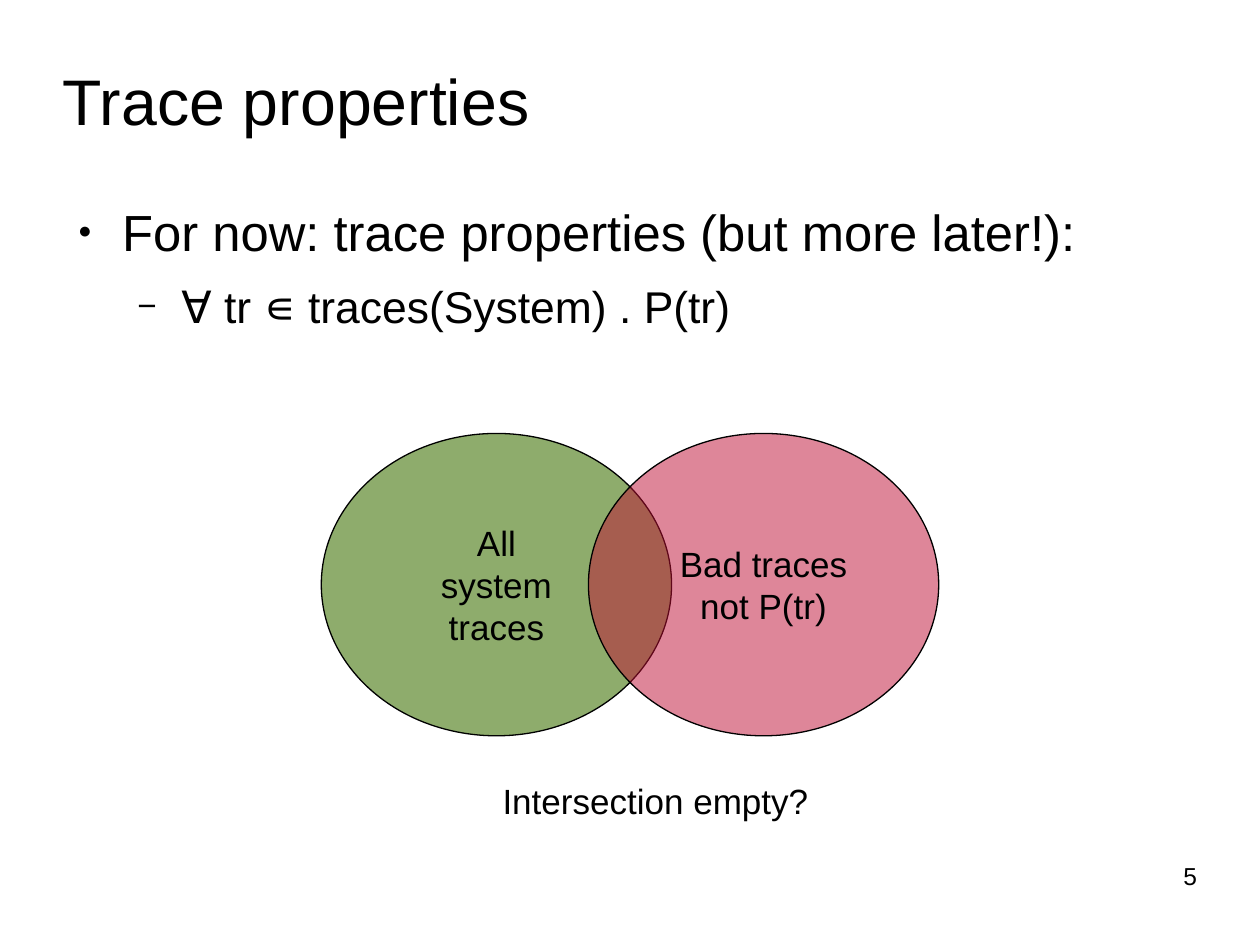
from dataclasses import dataclass

from lxml.etree import SubElement
from pptx import Presentation
from pptx.dml.color import RGBColor
from pptx.enum.shapes import MSO_SHAPE
from pptx.enum.text import MSO_ANCHOR, PP_ALIGN
from pptx.oxml.ns import qn
from pptx.util import Inches, Pt


@dataclass(frozen=True)
class Theme:
    ink: str = "000000"
    system: str = "69913B"
    bad: str = "BE0F34"
    font: str = "Arial"
    symbol_font: str = "DejaVu Sans"
    title: float = 36.8
    bullet: float = 29
    formula: float = 25.4
    label: float = 20
    number: float = 14


THEME = Theme()


def add_box(left, top, width, height, **frame_format):
    box = slide.shapes.add_textbox(*map(Inches, (left, top, width, height)))
    values = dict(word_wrap=True, margin_left=0, margin_right=0,
                  margin_top=0, margin_bottom=0)
    for name, value in {**values, **frame_format}.items():
        setattr(box.text_frame, name, value)
    return box.text_frame


def add_span(para, text, size, font=THEME.font):
    # A vertical tab in the text is a line break
    for index, line in enumerate(text.split("\v")):
        if index:
            para.add_line_break()
        span = para.add_run()
        span.text = line
        for name, value in dict(name=font, size=Pt(size)).items():
            setattr(span.font, name, value)
        span.font.color.rgb = RGBColor.from_string(THEME.ink)


deck = Presentation()
deck.slide_width, deck.slide_height = Inches(10), Inches(7.5)
slide = deck.slides.add_slide(deck.slide_layouts[6])

# Title
title = add_box(0.5, 0.3, 9, 0.93, vertical_anchor=MSO_ANCHOR.MIDDLE,
                margin_top=Inches(0.06))
add_span(title.paragraphs[0], "Trace properties", THEME.title)

# Bullets: indent, space before, mark, mark size in percent, size, spans
bullets = [
    (0.47, 0, "●", 45, THEME.bullet,
     [("For now: trace properties (but more later!):", THEME.font)]),
    (0.94, 10.3, "−", 75, THEME.formula,
     [("∀", THEME.symbol_font), (" tr ", THEME.font),
      ("∊", THEME.symbol_font), (" traces(System) . P(tr)", THEME.font)]),
]
body = add_box(0.5, 1.54, 9, 5.22, margin_top=Inches(0.05))
for level, (indent, before, mark, percent, size, spans) in enumerate(bullets):
    para = body.add_paragraph() if level else body.paragraphs[0]
    properties = para._p.get_or_add_pPr()
    properties.set("marL", str(Inches(indent)))
    properties.set("indent", str(Inches(-0.35)))
    color = SubElement(properties, qn("a:buClr"))
    SubElement(color, qn("a:srgbClr"), val=THEME.ink)
    SubElement(properties, qn("a:buSzPct"), val=str(percent * 1000))
    SubElement(properties, qn("a:buFont"), typeface=THEME.font)
    SubElement(properties, qn("a:buChar"), char=mark)
    para.level = level
    para.space_before = Pt(before)
    for text, font in spans:
        add_span(para, text, size, font)

# Venn diagram: left, fill, opacity in percent, paragraphs
sets = [
    (2.55, THEME.system, 75, ["All", "system", "traces"]),
    (4.67, THEME.bad, 50, ["Bad traces\vnot P(tr)"]),
]
for left, color, opacity, lines in sets:
    ellipse = slide.shapes.add_shape(
        MSO_SHAPE.OVAL, Inches(left), Inches(3.44), Inches(2.78), Inches(2.4))
    ellipse.shadow.inherit = False
    ellipse.fill.solid()
    ellipse.fill.fore_color.rgb = RGBColor.from_string(color)
    fill_color = ellipse._element.spPr.find(
        f"{qn('a:solidFill')}/{qn('a:srgbClr')}")
    SubElement(fill_color, qn("a:alpha"), val=str(opacity * 1000))
    ellipse.line.color.rgb = RGBColor.from_string(THEME.ink)
    ellipse.line.width = Pt(0)
    frame = ellipse.text_frame
    frame.word_wrap = False
    frame.vertical_anchor = MSO_ANCHOR.MIDDLE
    for index, line in enumerate(lines):
        para = frame.add_paragraph() if index else frame.paragraphs[0]
        para.alignment = PP_ALIGN.CENTER
        add_span(para, line, THEME.label)

# Question under the diagram
question = add_box(3.89, 6.14, 2.63, 0.43, word_wrap=False,
                   margin_left=Inches(0.1), margin_right=Inches(0.1),
                   margin_top=Inches(0.05), margin_bottom=Inches(0.05))
question.paragraphs[0].line_spacing = Pt(24)
add_span(question.paragraphs[0], "Intersection empty?", THEME.label)

# Page number
number = add_box(7.17, 6.83, 2.33, 0.52)
number.paragraphs[0].alignment = PP_ALIGN.RIGHT
add_span(number.paragraphs[0], "5", THEME.number)

deck.save("out.pptx")
